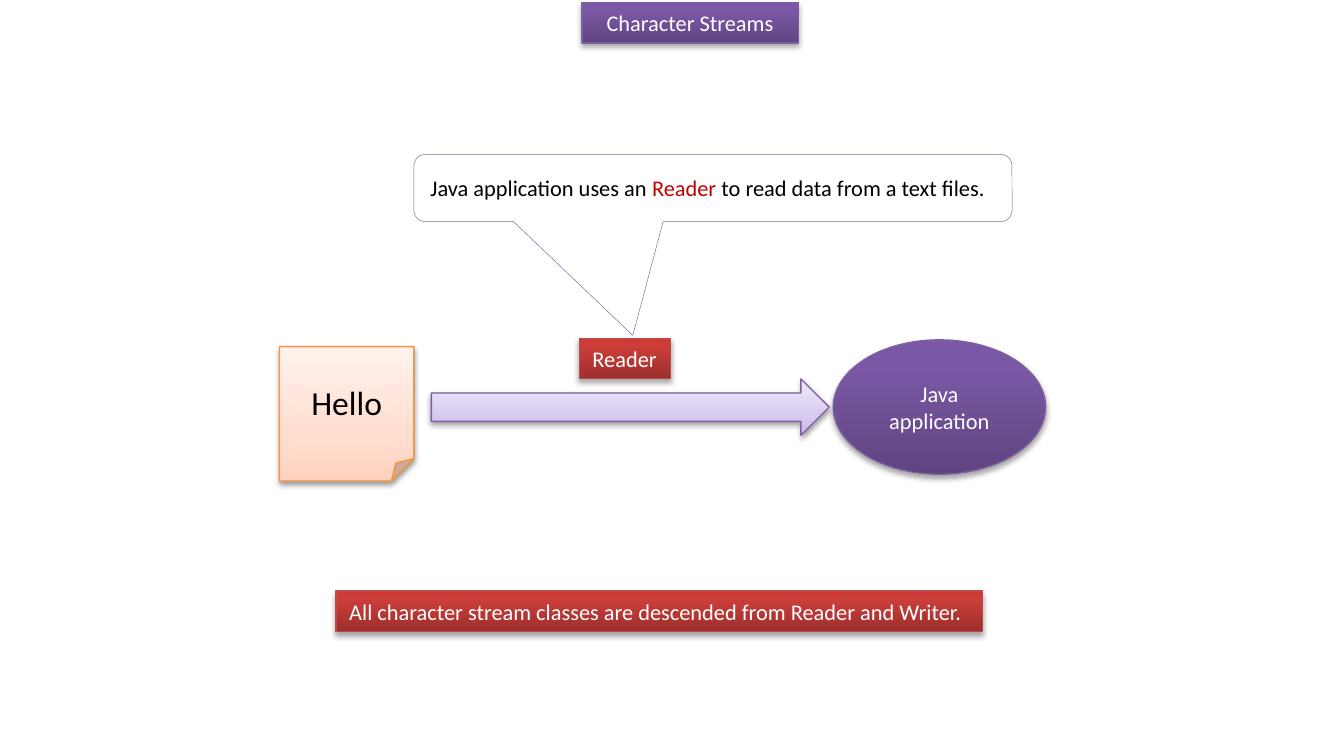
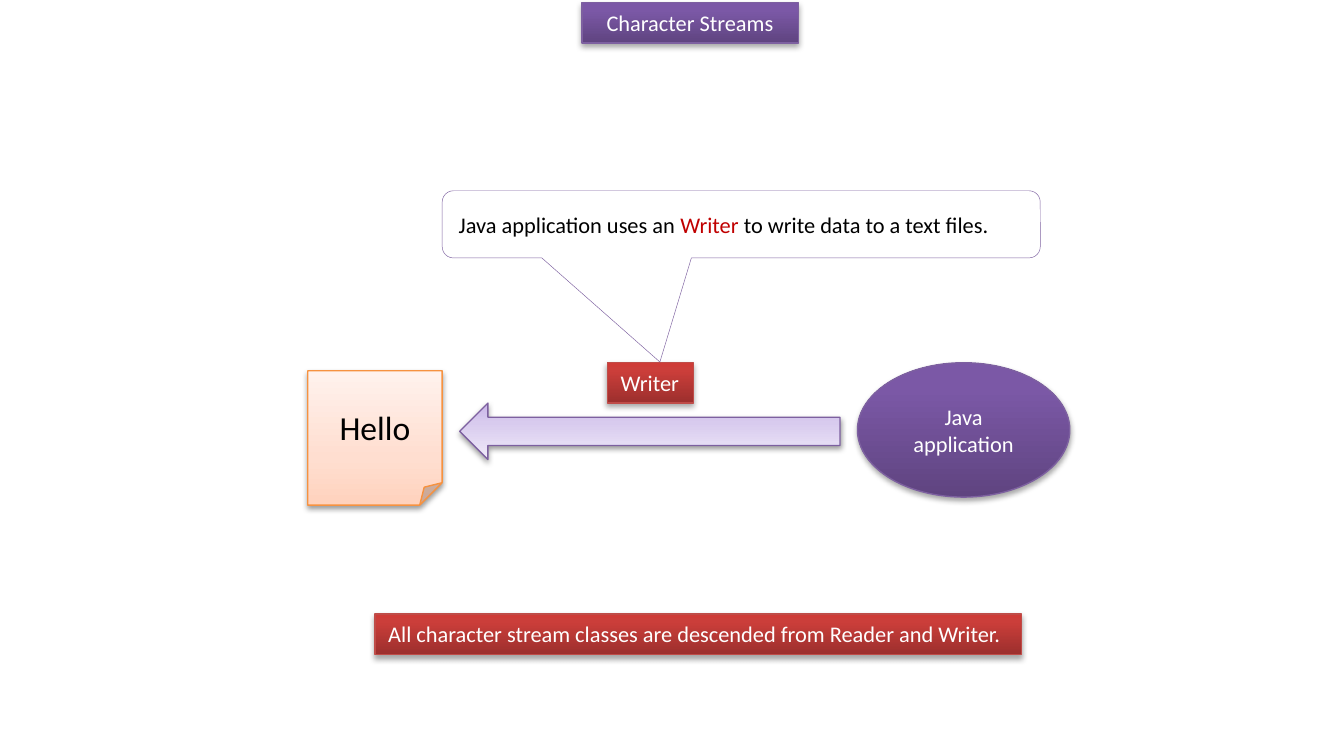
from dataclasses import dataclass

import lxml.etree
import pptx
import pptx.dml.color
import pptx.enum.shapes
import pptx.enum.text
import pptx.oxml.ns
import pptx.util

Inches = pptx.util.Inches
Kind = pptx.enum.shapes.MSO_SHAPE
Align = pptx.enum.text.PP_ALIGN
Anchor = pptx.enum.text.MSO_ANCHOR
qn = pptx.oxml.ns.qn


@dataclass(frozen=True)
class Look:
    """Gradient stops, outline colour and shadow strength of a surface."""
    stops: tuple
    line: str
    shade: int = 35
    drop: float = 1.8


class Theme:
    """Colours and type sizes of the deck."""
    font = "Calibri"
    body, large = 12, 18
    white, black, accent, frame = "FFFFFF", "000000", "C00000", "8064A2"
    purple = Look(((0, "5F4480"), (80, "7B58A6"), (100, "7C57A8")), "7D60A0")
    red = Look(((0, "9C2F2D"), (80, "CB3E3A"), (100, "CE3B37")), "BF4C48")
    peach = Look(((0, "FFD2BD"), (35, "FFDED0"), (100, "FFF2ED")), "F69240", 38, 1.6)
    lilac = Look(((0, "C9B5E8"), (35, "D8CBEE"), (100, "F0EAF9")), "7D60A0", 38, 1.6)


@dataclass(frozen=True)
class Flow:
    """What differs between the reading and the writing slide."""
    label: str
    width: float
    runs: tuple
    left: float
    top: float
    rise: float
    tip: tuple
    app: tuple
    arrow: float
    turn: int
    note: tuple


FLOWS = (
    Flow("Reader", 0.68,
         ("Java application uses an ", "Reader", " to read data from a text files."),
         2.08, 2.58, 1.43, (-0.134, 2.194), (4.12, -0.05), 2.96, 0, (0.42, 1.82)),
    Flow("Writer", 0.64,
         ("Java application uses an ", "Writer ", "to write data to a text files."),
         2.29, 2.76, 1.34, (-0.136, 2.049), (4.09, -0.06), 2.83, 180, (0.5, 1.81)),
)


def tint(code):
    """Return the colour for a hex code."""
    return pptx.dml.color.RGBColor.from_string(code)


def place(shape, left, top, width, height):
    """Move and size a shape in inches."""
    shape.left, shape.top = Inches(left), Inches(top)
    shape.width, shape.height = Inches(width), Inches(height)


def outline(shape, code, width):
    """Draw the outline of a shape."""
    shape.line.color.rgb = tint(code)
    shape.line.width = pptx.util.Pt(width)


def finish(shape, look):
    """Give a shape the gradient, outline and shadow of a look."""
    shape.fill.gradient()
    shape.fill.gradient_angle = 90
    stops = shape._element.spPr.find(".//" + qn("a:gsLst"))
    stops.clear()
    for spot, code in look.stops:
        stop = lxml.etree.SubElement(stops, qn("a:gs"), pos=str(spot * 1000))
        lxml.etree.SubElement(stop, qn("a:srgbClr"), val=code)
    outline(shape, look.line, 0.75)
    shape.shadow.inherit = False
    shadow = lxml.etree.SubElement(
        shape._element.spPr.find(qn("a:effectLst")), qn("a:outerShdw"),
        blurRad=str(pptx.util.Pt(3.1)), dist=str(pptx.util.Pt(look.drop)),
        dir="5400000", rotWithShape="0")
    shade = lxml.etree.SubElement(shadow, qn("a:srgbClr"), val=Theme.black)
    lxml.etree.SubElement(shade, qn("a:alpha"), val=str(look.shade * 1000))


def write(shape, *runs, size=Theme.body, colors=(Theme.white,),
          align=Align.CENTER, anchor=Anchor.MIDDLE, wrap=True):
    """Write runs of text into a shape, one colour to a run."""
    frame = shape.text_frame
    frame.auto_size = pptx.enum.text.MSO_AUTO_SIZE.NONE
    frame.word_wrap, frame.vertical_anchor = wrap, anchor
    para = frame.paragraphs[0]
    para.alignment = align
    for text, color in zip(runs, colors):
        run = para.add_run()
        run.text = text
        run.font.name, run.font.size = Theme.font, pptx.util.Pt(size)
        run.font.color.rgb = tint(color)


def add(slide, kind, box, look):
    """Add a finished preset shape in a box."""
    shape = slide.shapes.add_shape(kind, *map(Inches, box))
    finish(shape, look)
    return shape


def header(slide, text):
    """Set the title as a purple plate at the top."""
    title = slide.shapes.title
    place(title, 4.33, 0.02, 1.61, 0.3)
    finish(title, Theme.purple)
    write(title, text, anchor=Anchor.TOP)


def plate(slide, text, left, top, width):
    """Add a red plate with one line of text."""
    shape = add(slide, Kind.RECTANGLE, (left, top, width, 0.3), Theme.red)
    write(shape, text, align=Align.LEFT, anchor=Anchor.TOP, wrap=False)


def callout(slide, flow, left, top):
    """Add the speech bubble that points at the class label."""
    shape = slide.shapes.add_shape(
        Kind.ROUNDED_RECTANGULAR_CALLOUT, *map(Inches, (left, top, 4.45, 0.5)))
    for spot, value in enumerate((*flow.tip, 0.167)):
        shape.adjustments[spot] = value
    shape.fill.solid()
    shape.fill.fore_color.rgb = tint(Theme.white)
    outline(shape, Theme.frame, 0.25)
    shape.shadow.inherit = False
    write(shape, *flow.runs, align=Align.LEFT,
          colors=(Theme.black, Theme.accent, Theme.black))


def diagram(slide, flow):
    """Place file, arrow, application and labels around the file's corner."""
    left, top = flow.left, flow.top
    plate(slide, flow.label, left + 2.23, top - 0.06, flow.width)
    callout(slide, flow, left + 1, top - flow.rise)
    file = add(slide, Kind.FOLDED_CORNER, (left, top, 1, 1), Theme.peach)
    write(file, "Hello", size=Theme.large, colors=(Theme.black,))
    across, down = flow.app
    app = add(slide, Kind.OVAL, (left + across, top + down, 1.58, 1), Theme.purple)
    write(app, "Java application")
    arrow = add(slide, Kind.RIGHT_ARROW,
                (left + 1.13, top + 0.24, flow.arrow, 0.42), Theme.lilac)
    arrow.rotation = flow.turn
    across, down = flow.note
    plate(slide, "All character stream classes are descended from Reader and Writer.",
          left + across, top + down, 4.81)


def main():
    """Build and save the deck."""
    deck = pptx.Presentation()
    deck.slide_width, deck.slide_height = Inches(10), Inches(5.5)
    for flow in FLOWS:
        slide = deck.slides.add_slide(deck.slide_layouts[5])
        header(slide, "Character Streams")
        diagram(slide, flow)
    deck.save("out.pptx")


if __name__ == "__main__":
    main()
